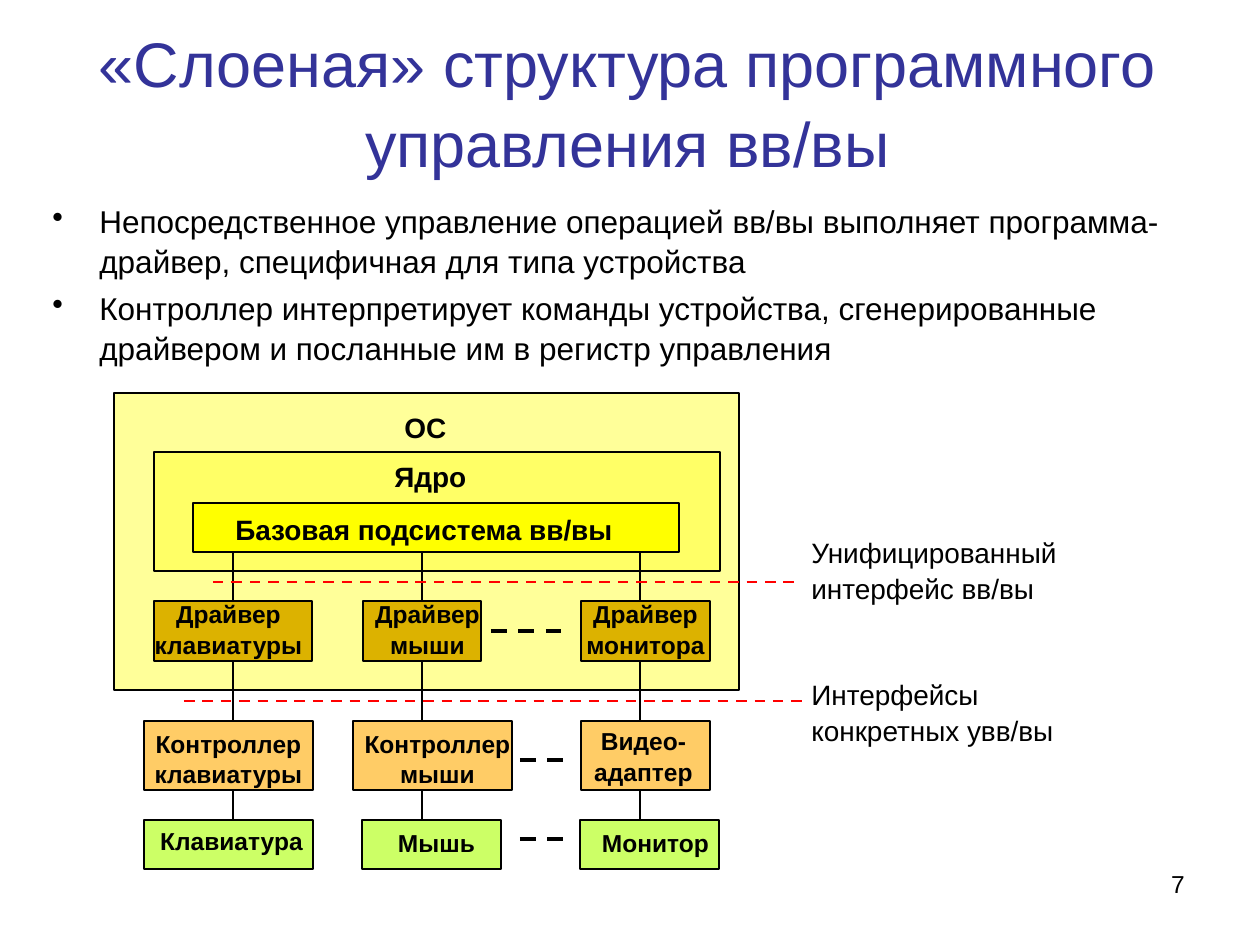
from lxml import etree
from pptx import Presentation
from pptx.dml.color import RGBColor
from pptx.enum.dml import MSO_LINE
from pptx.enum.shapes import MSO_CONNECTOR, MSO_SHAPE
from pptx.enum.text import MSO_ANCHOR, MSO_AUTO_SIZE, PP_ALIGN
from pptx.oxml.ns import qn
from pptx.util import Inches, Pt

RECTANGLE = MSO_SHAPE.RECTANGLE
STRAIGHT = MSO_CONNECTOR.STRAIGHT
DASH = MSO_LINE.DASH
LEFT, CENTER, RIGHT = PP_ALIGN.LEFT, PP_ALIGN.CENTER, PP_ALIGN.RIGHT
TOP, BOTTOM = 0, 2
PX_PER_INCH = 126
TITLE_ONLY = 5
COLORS = {
    "title": "333399", "text": "000000", "line": "000000", "interface": "FF0000",
    "system": "FFFF99", "kernel": "FFFF66", "base": "FFFF00",
    "driver": "DCB200", "controller": "FFCC66", "device": "CCFF66",
}


def px(length):
    return round(length * Inches(1) / PX_PER_INCH)


def color(name):
    return RGBColor.from_string(COLORS[name])


def add_bullet(paragraph, indent):
    properties = paragraph._p.get_or_add_pPr()
    properties.set("marL", str(px(indent)))
    properties.set("indent", str(-px(indent)))
    etree.SubElement(properties, qn("a:buChar")).set("char", "•")


def write_text(frame, *texts, size=14, bold=False, align=LEFT, fill="text", bullet_indent=0, gap=0):
    """Fill a text frame with one paragraph per text."""
    frame.word_wrap = True
    for index, text in enumerate(texts):
        paragraph = frame.add_paragraph() if index else frame.paragraphs[0]
        paragraph.text = text
        paragraph.alignment = align
        paragraph.line_spacing = 1.05
        if index:
            paragraph.space_before = Pt(gap)
        if bullet_indent:
            add_bullet(paragraph, bullet_indent)
        font = paragraph.font
        font.name, font.size, font.bold = "Arial", Pt(size), bold
        font.color.rgb = color(fill)


class SlideBuilder:
    """Holds the current slide and draws on it in px."""

    def __init__(self, slide):
        self.slide = slide

    def title(self, text, left, top, width, height):
        shape = self.slide.shapes.title
        shape.left, shape.top, shape.width, shape.height = map(px, (left, top, width, height))
        shape.text_frame.auto_size = MSO_AUTO_SIZE.NONE
        shape.text_frame.vertical_anchor = MSO_ANCHOR.MIDDLE
        write_text(shape.text_frame, text, size=36, align=CENTER, fill="title")

    def text(self, texts, left, top, width, height, **text_format):
        shape = self.slide.shapes.add_textbox(*map(px, (left, top, width, height)))
        write_text(shape.text_frame, *texts, **text_format)

    def box(self, fill, left, top, width, height):
        shape = self.slide.shapes.add_shape(RECTANGLE, *map(px, (left, top, width, height)))
        shape.shadow.inherit = False
        shape.fill.solid()
        shape.fill.fore_color.rgb = color(fill)
        shape.line.color.rgb = color("line")
        shape.line.width = Pt(0.75)
        return shape

    def line(self, start, end, fill="line", width=1.5, dash=None):
        connector = self.slide.shapes.add_connector(STRAIGHT, *map(px, start + end))
        connector.line.color.rgb = color(fill)
        connector.line.width = Pt(width)
        if dash:
            connector.line.dash_style = dash
        etree.SubElement(connector._element.spPr, qn("a:effectLst"))
        return connector


def draw_layers(builder):
    """Draw the nested parts of the operating system."""
    builder.box("system", 114, 393, 625, 297)
    builder.box("kernel", 154, 452, 566, 119)
    builder.box("base", 193, 503, 486, 49)
    labels = [("ОС", 392, 403, 79), ("Ядро", 382, 452, 110),
              ("Базовая подсистема вв/вы", 223, 505, 437)]
    for label, left, top, width in labels:
        builder.text([label], left, top, width, 47, size=16, bold=True)


def draw_stacks(builder):
    """Draw driver, controller and device of each unit, joined from top to bottom."""
    base_bottom = 552
    # kind: box top, box height, label height
    rows = {"driver": (601, 60, 72), "controller": (721, 69, 72), "device": (820, 49, 43)}
    # line x, then per row: label, box left, box width, label left, label top, label width
    stacks = [
        (233, [("Драйвер клавиатуры", 154, 158, 134, 591, 189),
               ("Контроллер клавиатуры", 144, 169, 134, 721, 189),
               ("Клавиатура", 144, 169, 137, 818, 189)]),
        (422, [("Драйвер мыши", 363, 118, 353, 591, 149),
               ("Контроллер мыши", 353, 159, 343, 721, 189),
               ("Мышь", 362, 139, 362, 820, 149)]),
        (640, [("Драйвер монитора", 581, 129, 571, 591, 149),
               ("Видео-адаптер", 581, 129, 569, 718, 149),
               ("Монитор", 580, 139, 581, 820, 149)]),
    ]
    for line_x, cells in stacks:
        previous, previous_bottom = None, base_bottom
        for (kind, (top, height, label_height)), cell in zip(rows.items(), cells):
            label, left, width, label_left, label_top, label_width = cell
            box = builder.box(kind, left, top, width, height)
            builder.text([label], label_left, label_top, label_width, label_height,
                         bold=True, align=CENTER)
            connector = builder.line((line_x, previous_bottom), (line_x, top))
            centered = left + width / 2 == line_x
            if previous:
                connector.begin_connect(previous, BOTTOM)
            if centered:
                connector.end_connect(box, TOP)
            previous, previous_bottom = box if centered else None, top + height


def draw_dashes(builder):
    """Draw the marks for further units and the two interface borders."""
    for left, right, y in [(491, 561, 631), (520, 571, 760), (520, 571, 839)]:
        builder.line((left, y), (right, y), width=2.25, dash=DASH)
    interfaces = [("Унифицированный интерфейс вв/вы", 213, 799, 582, 528),
                  ("Интерфейсы конкретных увв/вы", 184, 809, 701, 670)]
    for label, left, right, y, label_top in interfaces:
        builder.line((left, y), (right, y), fill="interface", dash=DASH)
        builder.text([label], 799, label_top, 277, 81, size=16)


def main():
    presentation = Presentation()
    presentation.slide_width, presentation.slide_height = Inches(10), Inches(7.5)
    slide = presentation.slides.add_slide(presentation.slide_layouts[TITLE_ONLY])
    builder = SlideBuilder(slide)
    builder.title("«Слоеная» структура программного управления вв/вы", 10, 6, 1235, 189)
    builder.text(
        ["Непосредственное управление операцией вв/вы выполняет программа-драйвер, "
         "специфичная для типа устройства",
         "Контроллер интерпретирует команды устройства, сгенерированные драйвером "
         "и посланные им в регистр управления"],
        40, 194, 1166, 189, size=18, bullet_indent=47, gap=4.5)
    draw_layers(builder)
    draw_stacks(builder)
    draw_dashes(builder)
    builder.text(["7"], 903, 861, 294, 66, align=RIGHT)
    presentation.save("out.pptx")


if __name__ == "__main__":
    main()
